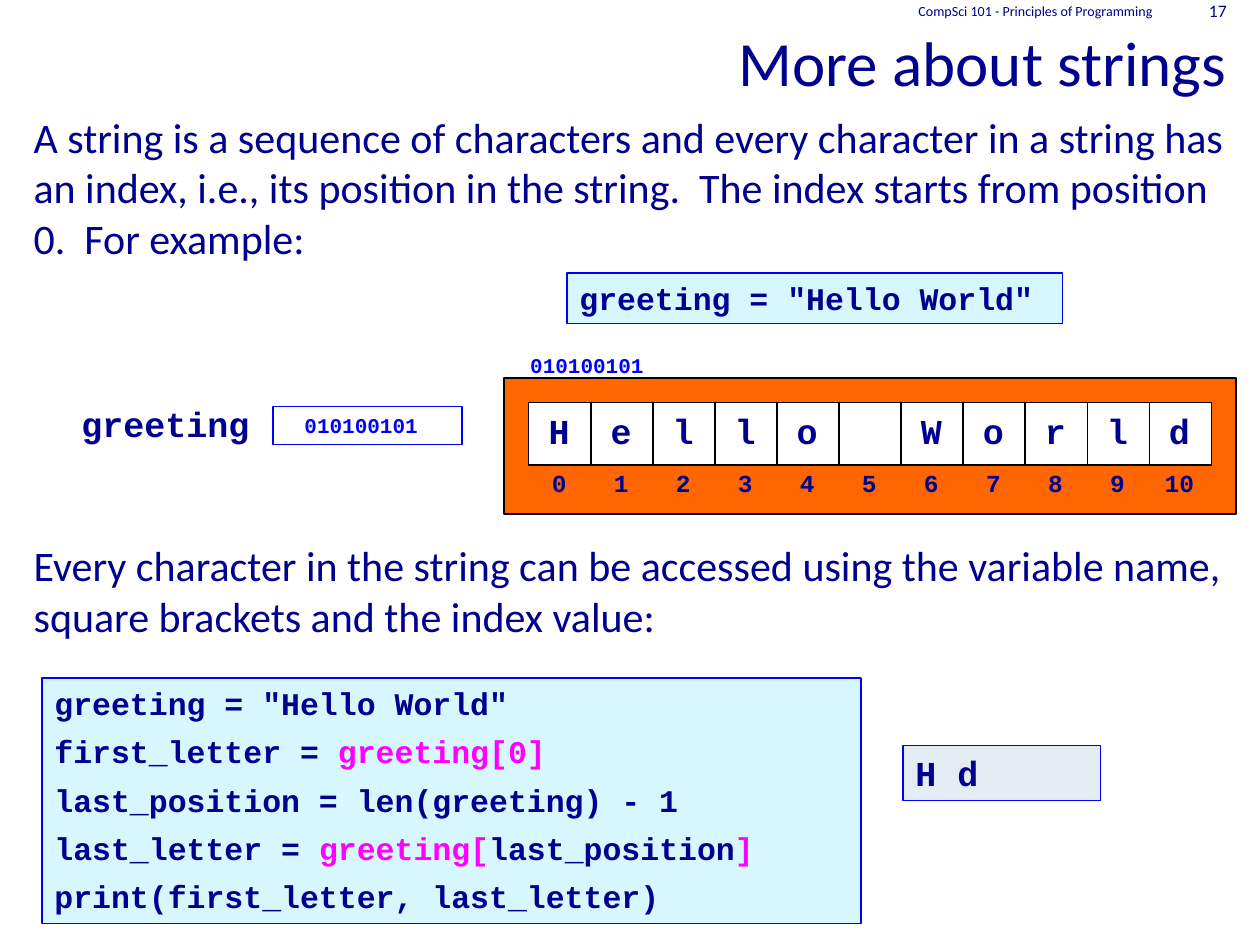
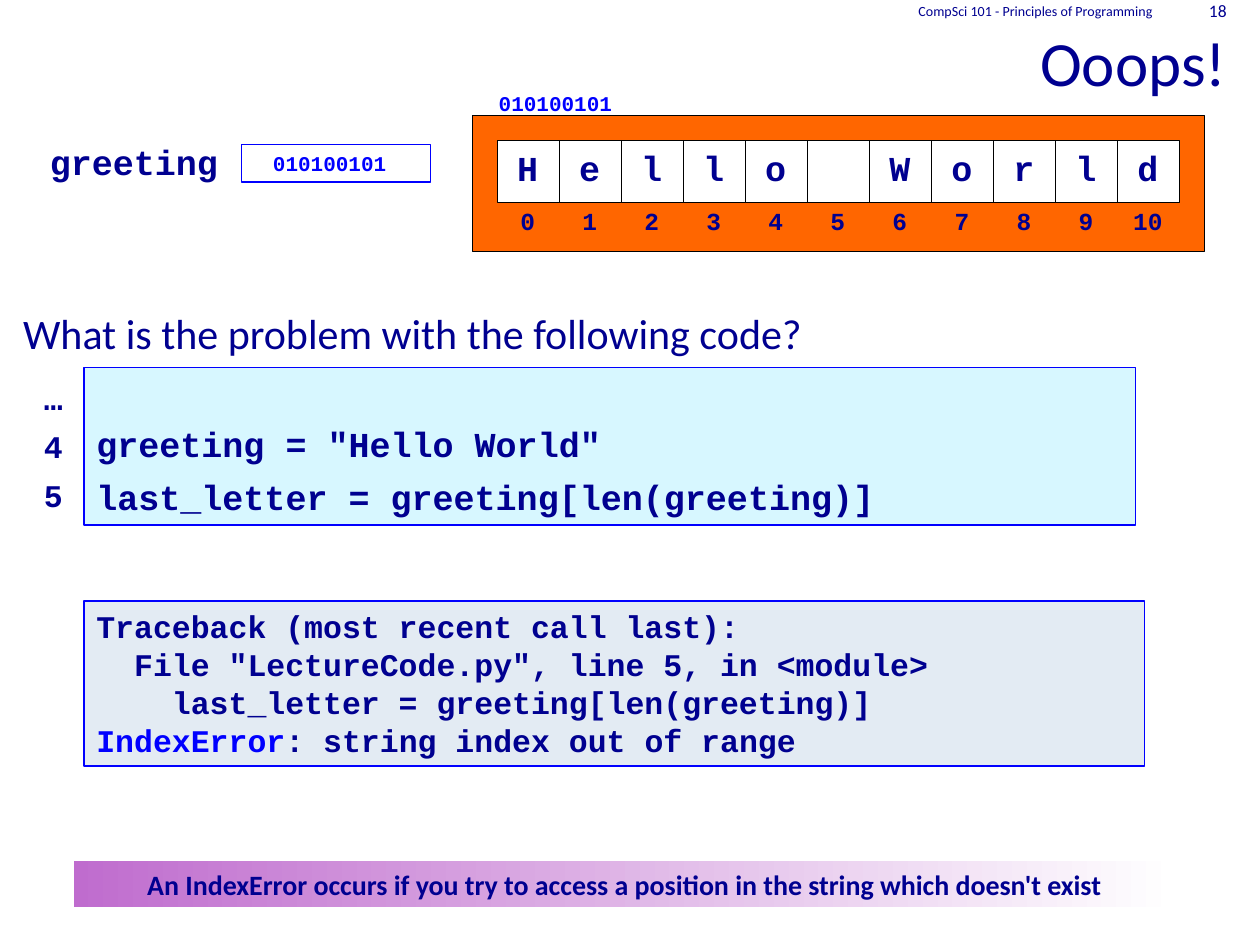
from pptx import Presentation
from pptx.util import Pt
from pptx.dml.color import RGBColor
from pptx.enum import shapes, text
from pptx.oxml.xmlchemy import OxmlElement

HUE = {"navy": "000090", "blue": "0000FF", "pink": "FF00FF", "black": "000000",
       "white": "FFFFFF", "code": "D7F7FF", "output": "E3EBF3",
       "orange": "FF6600", "violet": "BF6CCE"}
SANS, MONO = "Calibri", "Courier New"
LEFT, MID, RIGHT = text.PP_ALIGN.LEFT, text.PP_ALIGN.CENTER, text.PP_ALIGN.RIGHT
TOP, CENTRE, BASE = (text.MSO_ANCHOR.TOP, text.MSO_ANCHOR.MIDDLE,
                     text.MSO_ANCHOR.BOTTOM)


def write(frame, lines, size, font=MONO, bold=True, hue="navy", align=LEFT, gap=0):
    """Fill a frame; a line is a string or a list of (text, hue) runs."""
    for i, line in enumerate(lines):
        para = frame.paragraphs[0] if i == 0 else frame.add_paragraph()
        para.alignment, para.space_before = align, Pt(gap)
        para.font.name, para.font.size, para.font.bold = font, Pt(size), bold
        for words, tint in [(line, hue)] if isinstance(line, str) else line:
            run = para.add_run()
            run.text = words
            run.font.color.rgb = RGBColor.from_string(HUE[tint])


def box(slide, x, y, w, h, lines=(), size=18, fill=None, line=None,
        wrap=True, anchor=TOP, **style):
    """Add a rectangle, or a text box if it has neither fill nor line."""
    area = Pt(x), Pt(y), Pt(w), Pt(h)
    if fill or line:
        item = slide.shapes.add_shape(shapes.MSO_SHAPE.RECTANGLE, *area)
        item.shadow.inherit = False
        item.fill.background()
        item.line.fill.background()
    else:
        item = slide.shapes.add_textbox(*area)
    if fill:
        item.fill.solid()
        item.fill.fore_color.rgb = RGBColor.from_string(HUE[fill])
    if line:
        item.line.color.rgb = RGBColor.from_string(HUE[line])
        item.line.width = Pt(0.75)
    item.text_frame.word_wrap = wrap
    item.text_frame.vertical_anchor = anchor
    write(item.text_frame, lines, size, **style)
    return item


deck = Presentation()
deck.slide_width, deck.slide_height = Pt(720), Pt(540)
layout = deck.slide_layouts[1]

# Shared title place
head = layout.placeholders[0]
head.left, head.top, head.width, head.height = Pt(0), Pt(0), Pt(708), Pt(60)
head.text_frame.vertical_anchor = BASE
head.text_frame.auto_size = text.MSO_AUTO_SIZE.NONE

# Page number, title, body area, body top inset, gap, body text, diagram corner
pages = [
    (17, "More about strings", (12, 60, 708, 426), 3.6, 158.5,
     ["A string is a sequence of characters and every character in a string has "
      "an index, i.e., its position in the string.  The index starts from "
      "position 0.  For example:",
      "Every character in the string can be accessed using the variable name, "
      "square brackets and the index value:"], (288, 216)),
    (18, "Ooops!", (6, 60, 702, 462), 115.5, 0,
     ["What is the problem with the following code?"], (270, 66)),
]

for page, title, area, inset, gap, words, (x, y) in pages:
    slide = deck.slides.add_slide(layout)

    # Title and body
    write(slide.shapes.title.text_frame, [title], 36, SANS, False, align=RIGHT)
    body = slide.placeholders[1]
    body.left, body.top, body.width, body.height = map(Pt, area)
    frame = body.text_frame
    frame.auto_size = text.MSO_AUTO_SIZE.NONE
    frame.margin_top = Pt(inset)
    write(frame, words, 24, SANS, False, gap=gap)
    frame.paragraphs[0].space_before = Pt(0)
    for para in frame.paragraphs:
        props = para._p.get_or_add_pPr()
        props.set("marL", "0")
        props.set("indent", "0")
        props.append(OxmlElement("a:buNone"))

    # Course name and page number
    for left, wide, note, size in [
            (450, 216, "CompSci 101 - Principles of Programming", 8),
            (666, 42, str(page), 10)]:
        box(slide, left, 0, wide, 12, [note], size, anchor=CENTRE,
            font=SANS, bold=False, align=RIGHT)

    # String object: one cell and index per letter
    box(slide, x, y, 418.3, 77.8, fill="orange", line="black")
    for i, char in enumerate("Hello World"):
        step = x + i * 35.45
        box(slide, step + 14.2, y + 14.2, 35.45, 35.45, fill="white", line="black")
        if char != " ":
            box(slide, step + 18.2, y + 14.2, 26.6, 31.7, [char], 20,
                wrap=False, align=MID)
        wide = 23 if i < 10 else 31.7
        box(slide, step + 31.5 - wide / 2, y + 48.2, wide, 24.5, [str(i)], 14,
            wrap=False, align=MID)

    # Variable holding the address of the object
    box(slide, x - 250.4, y + 10.6, 114, 31, ["greeting"], 20, wrap=False, align=MID)
    for left, top, wide, line in [(x - 132, y + 16.4, 108, "blue"),
                                  (x, y - 18, 102, None)]:
        box(slide, left, top, wide, 21.6, ["010100101 "], 12, line=line,
            hue="blue", align=MID, gap=6)

first, second = deck.slides

# Code and output on the first slide
hello = 'greeting = "Hello World"'
code = {"fill": "code", "line": "blue", "gap": 6}
output = {"fill": "output", "line": "blue"}
box(first, 324, 156, 283, 29, [hello], **code)
box(first, 24, 387.4, 468, 140.4, [
    hello,
    [("first_letter = ", "navy"), ("greeting[0]", "pink")],
    "last_position = len(greeting) - 1",
    [("last_letter = ", "navy"), ("greeting[", "pink"),
     ("last_position", "navy"), ("]", "pink")],
    "print(first_letter, last_letter)"], **code)
box(first, 516, 426, 113, 31.7, ["H d"], 20, **output)

# Code, line numbers and error on the second slide
fault = "last_letter = greeting[len(greeting)]"
block = box(second, 48, 210, 601, 90, [hello, fault], 20, **code)
block.text_frame.margin_top = Pt(31.5)
box(second, 18, 213, 36, 85, ["…", "4", "5"], gap=6)
box(second, 48, 343.4, 606, 94.3, [
    "Traceback (most recent call last):",
    '  File "LectureCode.py", line 5, in <module>',
    "    " + fault,
    [("IndexError", "blue"), (": string index out of range", "navy")]], **output)

# Closing strip
strip = box(second, 42, 492, 630, 26.6, [
    "An IndexError occurs if you try to access a position in the string "
    "which doesn't exist"], 16, fill="violet", font=SANS, align=MID)
strip.fill.gradient()
strip.fill.gradient_angle = 0
for stop, place, hue in zip(strip.fill.gradient_stops, (0, 1), ("violet", "white")):
    stop.position = place
    stop.color.rgb = RGBColor.from_string(HUE[hue])

deck.save("out.pptx")
